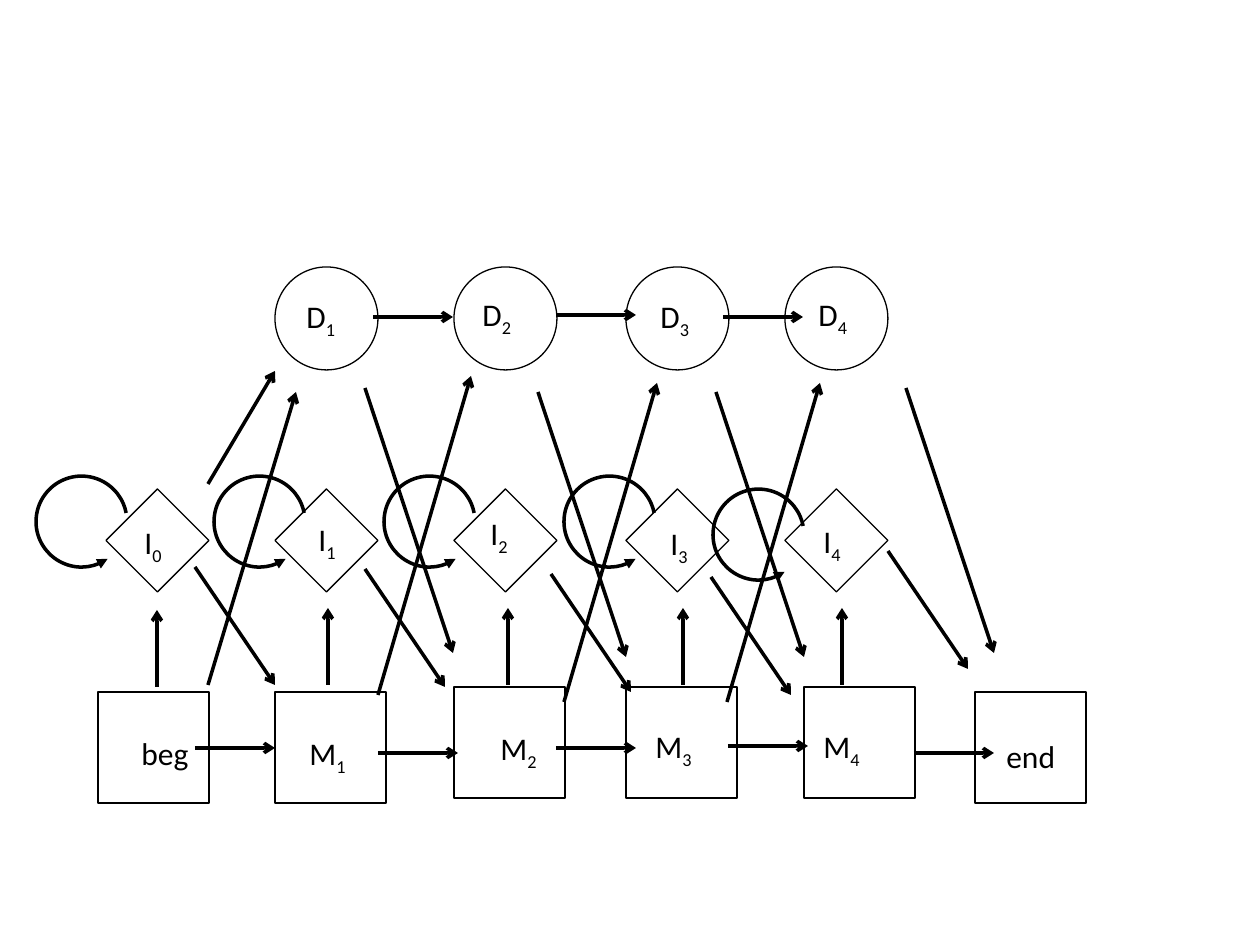
from dataclasses import dataclass
from lxml.etree import SubElement
from pptx import Presentation
from pptx.dml.color import RGBColor
from pptx.enum.shapes import MSO_CONNECTOR, MSO_SHAPE
from pptx.enum.text import MSO_AUTO_SIZE
from pptx.oxml.ns import qn
from pptx.util import Emu, Pt


@dataclass
class Theme:
    ink: RGBColor = RGBColor(0, 0, 0)
    font: str = "Calibri"
    label: Pt = Pt(18)
    outline: Pt = Pt(0.75)
    arrow: Pt = Pt(2)


theme = Theme()
PIXEL = 914400 // 126


def place(*pixels):
    return [Emu(pixel * PIXEL) for pixel in pixels]


def draw_state(kind, left, top, size, width):
    state = page.shapes.add_shape(kind, *place(left, top, size, size))
    state.shadow.inherit = False
    state.fill.background()
    state.line.color.rgb = theme.ink
    state.line.width = width
    return state


deck = Presentation()
deck.slide_width, deck.slide_height = place(1260, 945)
page = deck.slides.add_slide(deck.slide_layouts[6])

state_rows = [
    (MSO_SHAPE.RECTANGLE, 111, [(98, 692), (275, 692), (454, 687), (626, 687), (804, 687), (975, 692)]),
    (MSO_SHAPE.DIAMOND, 103, [(left, 489) for left in (106, 275, 454, 626, 785)]),
    (MSO_SHAPE.OVAL, 103, [(left, 267) for left in (275, 454, 626, 785)]),
]
for kind, size, corners in state_rows:
    for left, top in corners:
        draw_state(kind, left, top, size, theme.outline)

arrow_groups = [
    ((80, 0), [(373, 317), (556, 315), (723, 317)]),
    ((80, 0), [(195, 748), (378, 753), (556, 748), (728, 746), (914, 753)]),
    ((0, -77), [(157, 687), (328, 685), (508, 685), (683, 685), (842, 685)]),
    ((67, -113), [(208, 484)]),
    ((88, -293), [(208, 685)]),
    ((93, -319), [(378, 695), (564, 702), (727, 702)]),
    ((88, 265), [(365, 388), (538, 392), (716, 392), (906, 388)]),
    ((80, 118), [(195, 567), (365, 569), (551, 574), (711, 577), (888, 551)]),
]
for (across, down), starts in arrow_groups:
    for left, top in starts:
        ends = place(left, top, left + across, top + down)
        arrow = page.shapes.add_connector(MSO_CONNECTOR.STRAIGHT, *ends)
        arrow.line.color.rgb = theme.ink
        arrow.line.width = theme.arrow
        SubElement(arrow.line._get_or_add_ln(), qn("a:tailEnd"), type="arrow")
        SubElement(arrow._element.spPr, qn("a:effectLst"))

for left, top in [(36, 476), (214, 476), (384, 476), (564, 476), (713, 489)]:
    loop = draw_state(MSO_SHAPE.ARC, left, top, 91, theme.arrow)
    loop.adjustments[0] = 118.817
    loop.adjustments[1] = 79.282
    loop.rotation = 216.9
    SubElement(loop.line._get_or_add_ln(), qn("a:headEnd"), type="triangle")

labels = [
    ("D", "1", 294, 291), ("D", "2", 470, 289), ("D", "3", 648, 291), ("D", "4", 806, 289),
    ("I", "0", 132, 517), ("I", "1", 306, 514), ("I", "2", 478, 508), ("I", "3", 658, 518),
    ("I", "4", 811, 516), ("beg", "", 129, 728), ("M", "1", 297, 728), ("M", "2", 488, 723),
    ("M", "3", 643, 721), ("M", "4", 811, 721), ("end", "", 994, 731),
]
for name, index, left, top in labels:
    box = page.shapes.add_textbox(*place(left, top, 68 if index else 123, 50))
    box.text_frame.word_wrap = True
    box.text_frame.auto_size = MSO_AUTO_SIZE.SHAPE_TO_FIT_TEXT
    para = box.text_frame.paragraphs[0]
    para.text = name
    if index:
        subscript = para.add_run()
        subscript.text = index
        subscript._r.get_or_add_rPr().set("baseline", "-25000")
    for span in para.runs:
        span.font.name = theme.font
        span.font.size = theme.label
        span.font.color.rgb = theme.ink

deck.save("out.pptx")
